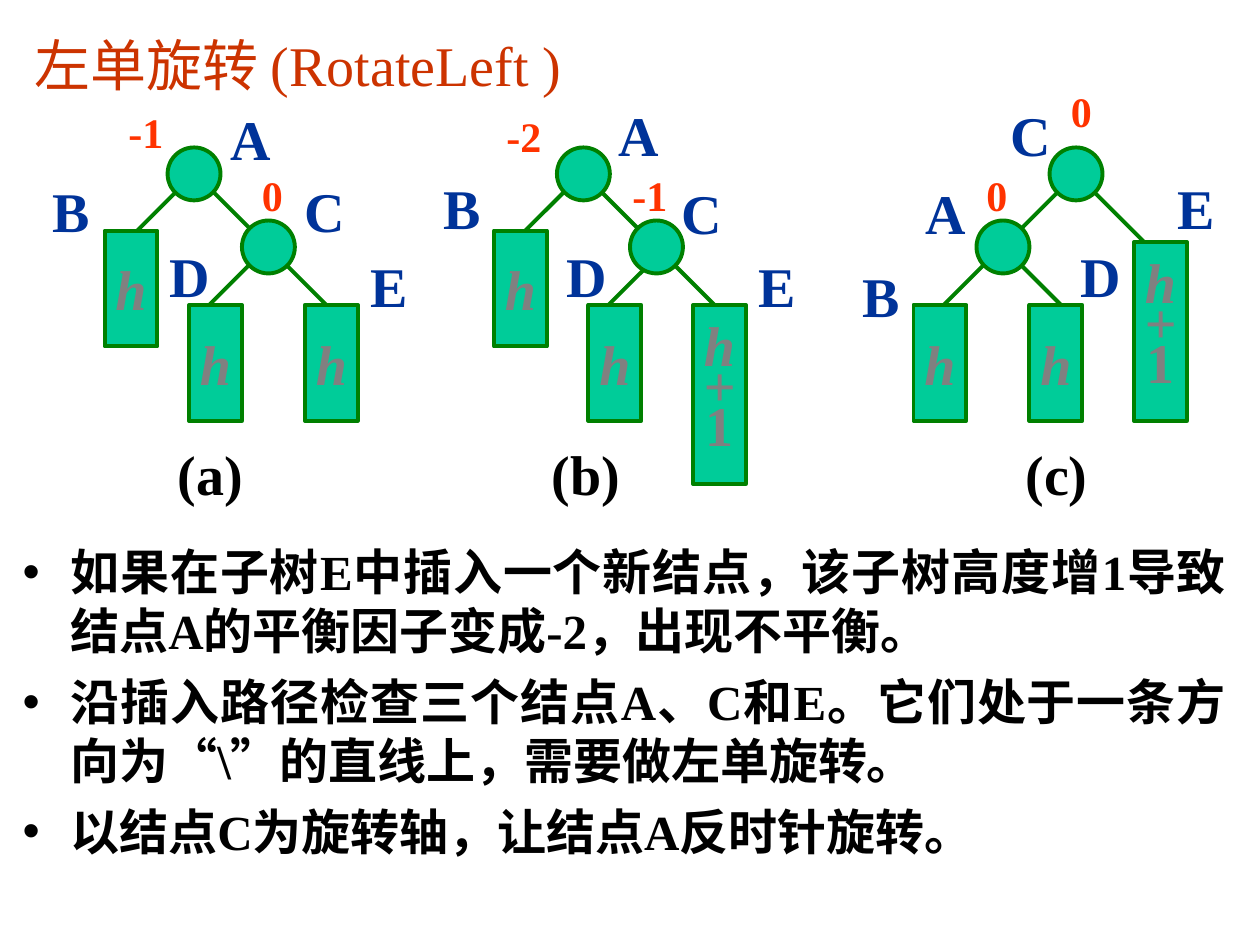
from typing import NamedTuple

from lxml import etree
from pptx import Presentation
from pptx.dml.color import RGBColor
from pptx.enum import shapes, text
from pptx.oxml.ns import qn
from pptx.util import Inches, Pt

HUES = {"title": "CC3300", "edge": "008000", "node": "00CC99", "high": "808080",
        "name": "003399", "factor": "FF3300", "ink": "000000"}
FACE = "Times New Roman"
SIDE = 0.42
WIDTHS = {"A": 0.52, "B": 0.49, "C": 0.52, "D": 0.52, "E": 0.49,
          "0": 0.36, "-1": 0.48, "-2": 0.48, "(a)": 0.8, "(b)": 0.8, "(c)": 0.8}


class Edge(NamedTuple):
    """A 45 degree line going down from x, y; a negative run leans left."""
    x: float
    y: float
    run: float


class Node(NamedTuple):
    x: float
    y: float


class Block(NamedTuple):
    """A subtree of height h, or h+1 when tall."""
    x: float
    y: float
    tall: bool = False


class Label(NamedTuple):
    words: str
    x: float
    y: float


class Tree(NamedTuple):
    edges: list[Edge]
    nodes: list[Node]
    blocks: list[Block]
    names: list[Label]
    factors: list[Label]
    mark: Label


TREES = [
    Tree([Edge(1.67, 1.5, 0.5), Edge(2.25, 2.08, 0.5), Edge(1.42, 1.5, -0.42), Edge(2, 2.08, -0.42)],
         [Node(1.33, 1.17), Node(1.92, 1.75)],
         [Block(0.83, 1.83), Block(1.5, 2.42), Block(2.42, 2.42)],
         [Label("A", 1.73, 0.78), Label("C", 2.32, 1.35), Label("E", 2.84, 1.95),
          Label("B", 0.32, 1.35), Label("D", 1.25, 1.87)],
         [Label("-1", 0.92, 0.8), Label("0", 1.98, 1.3)],
         Label("(a)", 1.31, 3.44)),
    Tree([Edge(4.67, 1.42, 0.5), Edge(5.25, 2, 0.5), Edge(4.5, 1.5, -0.42), Edge(5.25, 2, -0.42)],
         [Node(4.42, 1.17), Node(5, 1.75)],
         [Block(3.92, 1.83), Block(4.67, 2.42), Block(5.5, 2.42, True)],
         [Label("A", 4.81, 0.75), Label("C", 5.31, 1.37), Label("E", 5.92, 1.95),
          Label("B", 3.42, 1.33), Label("D", 4.4, 1.87)],
         [Label("-2", 3.92, 0.83), Label("-1", 4.92, 1.3)],
         Label("(b)", 4.28, 3.44)),
    Tree([Edge(8.58, 1.42, 0.5), Edge(8.08, 2.08, 0.5), Edge(8.42, 1.5, -0.42), Edge(7.83, 2.08, -0.42)],
         [Node(8.33, 1.17), Node(7.75, 1.75)],
         [Block(7.25, 2.42), Block(8.17, 2.42), Block(9, 1.92, True)],
         [Label("C", 7.92, 0.75), Label("E", 9.25, 1.33), Label("A", 7.25, 1.37),
          Label("B", 6.75, 2.03), Label("D", 8.48, 1.87)],
         [Label("0", 8.4, 0.63), Label("0", 7.73, 1.3)],
         Label("(c)", 8.04, 3.44)),
]

POINTS = [
    "如果在子树E中插入一个新结点，该子树高度增1导致结点A的平衡因子变成-2，出现不平衡。",
    "沿插入路径检查三个结点A、C和E。它们处于一条方向为“\\”的直线上，需要做左单旋转。",
    "以结点C为旋转轴，让结点A反时针旋转。",
]


def hue(key: str) -> RGBColor:
    return RGBColor.from_string(HUES[key])


def style(frame, size: int, key: str, bold: bool = True) -> None:
    for para in frame.paragraphs:
        for run in para.runs:
            font = run.font
            font.name, font.size, font.bold = FACE, Pt(size), bold
            font.color.rgb = hue(key)


def place(shape, x: float, y: float, wide: float, high: float) -> None:
    shape.left, shape.top = Inches(x), Inches(y)
    shape.width, shape.height = Inches(wide), Inches(high)


def draw_edge(slide, edge: Edge) -> None:
    line = slide.shapes.add_connector(
        shapes.MSO_CONNECTOR.STRAIGHT, Inches(edge.x), Inches(edge.y),
        Inches(edge.x + edge.run), Inches(edge.y + abs(edge.run)))
    line.line.color.rgb = hue("edge")
    line.line.width = Pt(2.25)
    etree.SubElement(line._element.spPr, qn("a:effectLst"))


def draw_shape(slide, kind, x: float, y: float, high: float):
    shape = slide.shapes.add_shape(kind, Inches(x), Inches(y), Inches(SIDE), Inches(high))
    shape.shadow.inherit = False
    shape.fill.solid()
    shape.fill.fore_color.rgb = hue("node")
    shape.line.color.rgb = hue("edge")
    shape.line.width = Pt(2.25)
    return shape


def draw_block(slide, block: Block) -> None:
    shape = draw_shape(slide, shapes.MSO_SHAPE.RECTANGLE, block.x, block.y,
                       1.42 if block.tall else 0.92)
    frame = shape.text_frame
    frame.text = "h\n+\n1" if block.tall else "h"
    frame.word_wrap = False
    frame.vertical_anchor = text.MSO_ANCHOR.MIDDLE
    style(frame, 32, "high")
    for para in frame.paragraphs:
        para.alignment = text.PP_ALIGN.CENTER
        para.runs[0].font.italic = para.text != "1"
        if block.tall:
            para.line_spacing = 0.6


def draw_label(slide, label: Label, size: int, key: str) -> None:
    box = slide.shapes.add_textbox(Inches(label.x), Inches(label.y), Inches(WIDTHS[label.words]),
                                   Inches(0.64 if size == 32 else 0.5))
    frame = box.text_frame
    frame.text = label.words
    frame.word_wrap = label.words.startswith("(")
    frame.auto_size = text.MSO_AUTO_SIZE.SHAPE_TO_FIT_TEXT
    style(frame, size, key)


def draw_tree(slide, tree: Tree) -> None:
    for edge in tree.edges:
        draw_edge(slide, edge)
    for node in tree.nodes:
        draw_shape(slide, shapes.MSO_SHAPE.OVAL, node.x, node.y, SIDE)
    for block in tree.blocks:
        draw_block(slide, block)
    for label in tree.names:
        draw_label(slide, label, 32, "name")
    for label in tree.factors:
        draw_label(slide, label, 24, "factor")
    draw_label(slide, tree.mark, 32, "ink")


def fill_title(title) -> None:
    place(title, 0.17, 0.17, 5.17, 0.67)
    frame = title.text_frame
    frame.text = "左单旋转 (RotateLeft )"
    frame.auto_size = text.MSO_AUTO_SIZE.NONE
    frame.vertical_anchor = text.MSO_ANCHOR.MIDDLE
    frame.paragraphs[0].alignment = text.PP_ALIGN.JUSTIFY
    style(frame, 32, "title", bold=False)


def fill_body(body) -> None:
    place(body, 0.08, 4.25, 9.75, 3)
    frame = body.text_frame
    frame.text = "\n".join(POINTS)
    frame.auto_size = text.MSO_AUTO_SIZE.NONE
    style(frame, 28, "ink")
    for para in frame.paragraphs:
        para.alignment = text.PP_ALIGN.JUSTIFY
        para.space_before = Pt(7)
        props = para._p.get_or_add_pPr()
        props.set("marL", str(Inches(0.38)))
        props.set("indent", str(-Inches(0.38)))
        etree.SubElement(props, qn("a:buChar"), char="•")


def main() -> None:
    deck = Presentation()
    deck.slide_width, deck.slide_height = Inches(10), Inches(7.5)
    slide = deck.slides.add_slide(deck.slide_layouts[1])
    fill_title(slide.shapes.title)
    fill_body(slide.placeholders[1])
    for tree in TREES:
        draw_tree(slide, tree)
    deck.save("out.pptx")


if __name__ == "__main__":
    main()
